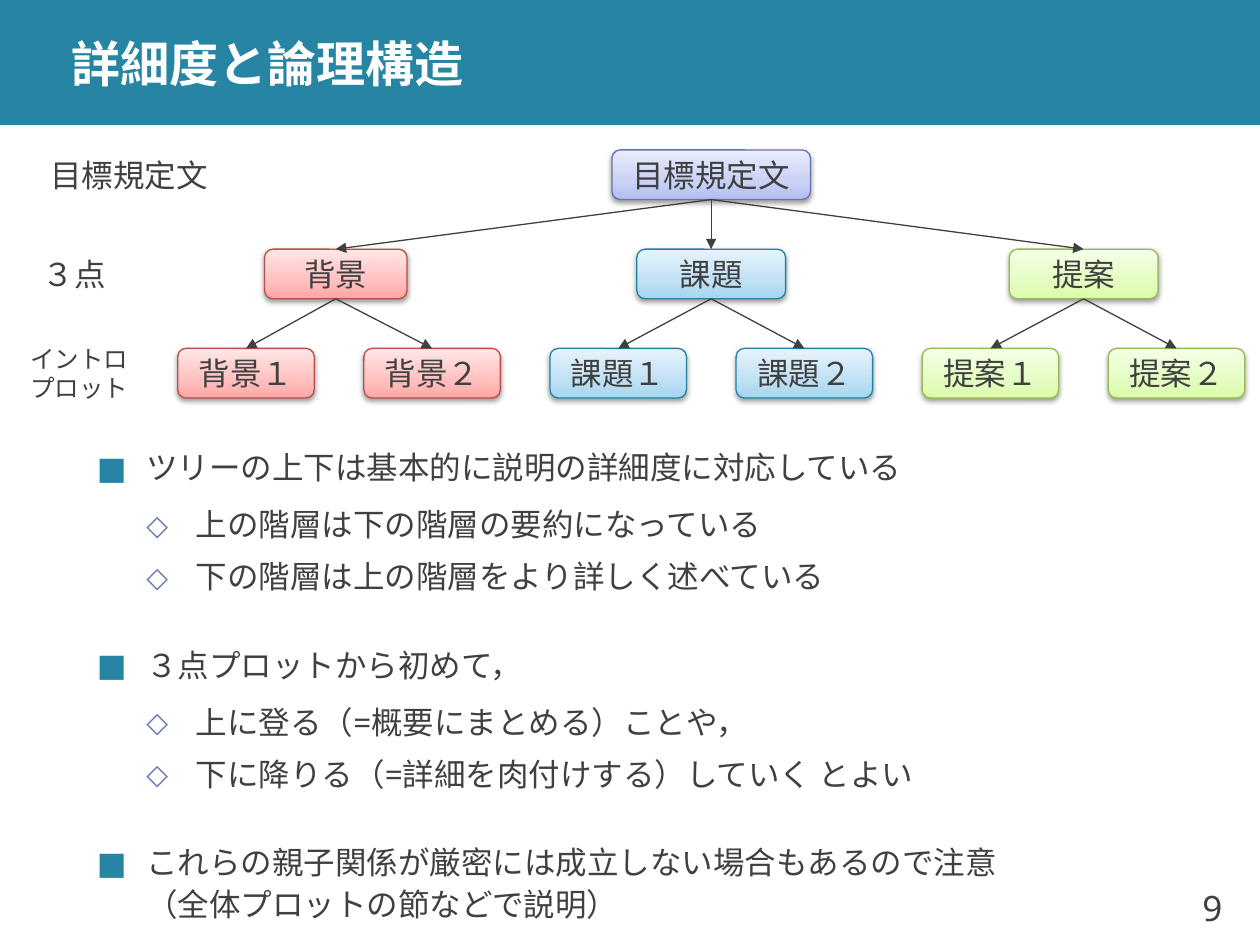
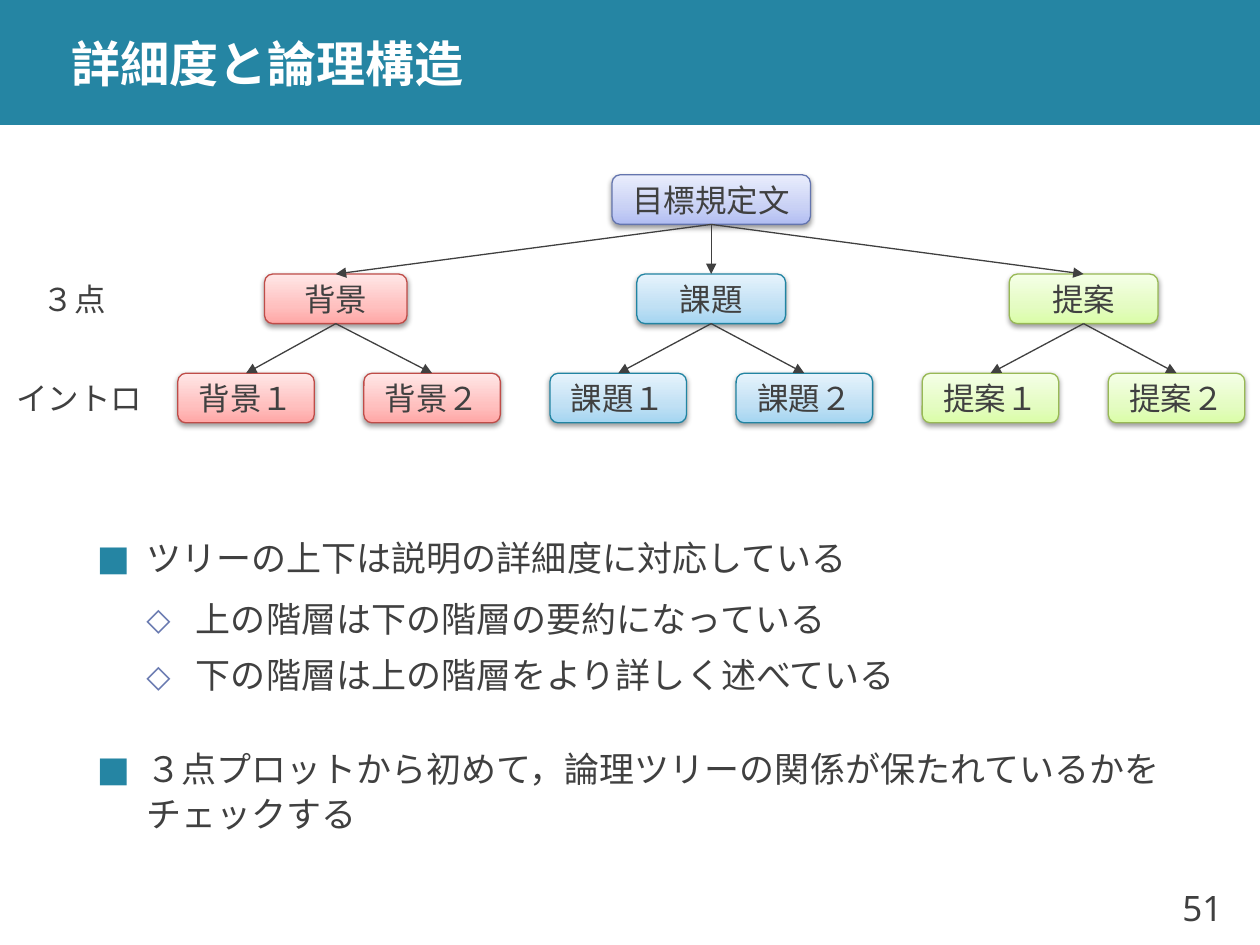
from pptx import Presentation, util as u, oxml
from pptx.dml.color import RGBColor as Rgb
from pptx.enum import shapes as es, text as et
from pptx.oxml import ns

Pt = u.Pt
HUES = {"band": "2585A3", "text": "404040", "white": "FFFFFF", "sub": "6879B0"}
NODES = {
    "goal": ("6475AE", ("B1BDF2", "C9D1F5", "E9EDFC")),
    "red": ("BF4C48", ("FFA6A5", "FFC0BF", "FFE7E7")),
    "blue": ("2184A2", ("A4D5F1", "C0E0F4", "E6F3FC")),
    "green": ("98B955", ("DAFDA7", "E4FCC2", "F5FFE7")),
}
STOPS = (0, 35000, 100000)
SANS, CJK = "Noto Sans", "Noto Sans CJK JP"
WIDE, HIGH, BAND = 720, 540, 71.4
BOX, STEP = 28.35, 56.7
MID, LEAF, GAP, FIRST = 406.4, 78, 106.35, 140.6
TOPICS = [("背景", "red", 191.9, 81.4), ("課題", "blue", MID, 85), ("提案", "green", 619.2, 85)]
LEFT, CENTER, RIGHT = et.PP_ALIGN.LEFT, et.PP_ALIGN.CENTER, et.PP_ALIGN.RIGHT


def node(xml):
    return oxml.parse_xml(xml.replace(">", " " + ns.nsdecls("a") + ">", 1))


def write(shape, lines, size=18, font=CJK, hue="text", bold=False, align=CENTER, wrap=False, pad=3.6):
    frame = shape.text_frame
    frame.word_wrap = wrap
    frame.vertical_anchor = et.MSO_ANCHOR.MIDDLE
    frame.margin_top = frame.margin_bottom = Pt(pad)
    for i, line in enumerate(lines):
        para = frame.paragraphs[0] if i == 0 else frame.add_paragraph()
        para.text = line
        para.alignment = align
        for run in para.runs:
            run.font.size, run.font.bold, run.font.name = Pt(size), bold, font
            run.font.color.rgb = Rgb.from_string(HUES[hue])
            run.font._element.find(ns.qn("a:latin")).addnext(node(f'<a:ea typeface="{CJK}"></a:ea>'))
    return frame


def area(slide, x, y, w, h):
    return slide.shapes.add_textbox(Pt(x), Pt(y), Pt(w), Pt(h))


def block(slide, kind, x, y, w, h):
    shape = slide.shapes.add_shape(kind, Pt(x), Pt(y), Pt(w), Pt(h))
    shape.shadow.inherit = False
    shape.fill.background()
    shape.line.fill.background()
    return shape


def label(slide, lines, x, y, **form):
    write(block(slide, es.MSO_SHAPE.ROUNDED_RECTANGLE, x, y, 85, BOX), lines, **form)


def box(slide, word, style, mid, y, w):
    edge, tones = NODES[style]
    shape = block(slide, es.MSO_SHAPE.ROUNDED_RECTANGLE, mid - w / 2, y, w, BOX)
    shape.line.color.rgb = Rgb.from_string(edge)
    shape.line.width = Pt(0.75)
    props = shape._element.spPr
    props.remove(props.find(ns.qn("a:noFill")))
    stops = "".join(f'<a:gs pos="{p}"><a:srgbClr val="{c}"/></a:gs>' for p, c in zip(STOPS, tones))
    props.find(ns.qn("a:prstGeom")).addnext(node(
        f'<a:gradFill rotWithShape="1"><a:gsLst>{stops}</a:gsLst>'
        '<a:lin ang="16200000" scaled="1"/></a:gradFill>'))
    props.find(ns.qn("a:effectLst")).append(node(
        f'<a:outerShdw blurRad="{Pt(3.1)}" dist="{Pt(1.6)}" dir="5400000" rotWithShape="0">'
        '<a:srgbClr val="000000"><a:alpha val="38000"/></a:srgbClr></a:outerShdw>'))
    write(shape, [word])
    return shape


def arrow(slide, top, low):
    link = slide.shapes.add_connector(es.MSO_CONNECTOR.STRAIGHT, 0, 0, 0, 0)
    link.begin_connect(top, 2)
    link.end_connect(low, 0)
    link.line.width = Pt(0.75)
    link.line.color.rgb = Rgb.from_string(HUES["text"])
    link.line._get_or_add_ln().append(node('<a:tailEnd type="triangle"></a:tailEnd>'))
    link._element.spPr.append(node("<a:effectLst></a:effectLst>"))


def tree(slide, y):
    root = box(slide, "目標規定文", "goal", MID, y, 113.4)
    links = []
    for i, (word, style, mid, w) in enumerate(TOPICS):
        topic = box(slide, word, style, mid, y + STEP, w)
        links.append((root, topic))
        for j, mark in enumerate("１２"):
            leaf = box(slide, word + mark, style, FIRST + (2 * i + j) * GAP, y + 2 * STEP, LEAF)
            links.append((topic, leaf))
    for top, low in links:
        arrow(slide, top, low)


def bullets(slide, items, size):
    frame = write(area(slide, 48.3, 270, 652.3, 241.2), [line for _, line in items],
                  size=size, font=SANS, align=LEFT, wrap=True)
    for para, (level, _) in zip(frame.paragraphs, items):
        hue, scale, sign, above, below = (("sub", 90, "◇", 3, 3) if level else ("band", 100, "■", 24, 6))
        para.level = level
        para.line_spacing = Pt(round(size * 1.31, 1))
        para.space_before, para.space_after = Pt(above), Pt(below)
        props = para._p.get_or_add_pPr()
        props.set("marL", str(Pt(28.3 * (level + 1))))
        props.set("indent", str(Pt(-28.3)))
        props.append(node(f'<a:buClr><a:srgbClr val="{HUES[hue]}"/></a:buClr>'))
        props.append(node(f'<a:buSzPct val="{scale * 1000}"></a:buSzPct>'))
        props.append(node(f'<a:buFont typeface="{SANS}"></a:buFont>'))
        props.append(node(f'<a:buChar char="{sign}"></a:buChar>'))


def page(deck, title, number):
    slide = deck.slides.add_slide(deck.slide_layouts[6])
    band = block(slide, es.MSO_SHAPE.RECTANGLE, 0, 0, WIDE, BAND)
    band.fill.solid()
    band.fill.fore_color.rgb = Rgb.from_string(HUES["band"])
    write(area(slide, 34, 0, 686, BAND), [title], size=28, font=SANS, hue="white",
          bold=True, align=LEFT, wrap=True, pad=0)
    write(area(slide, 657.4, 496.8, 48.2, 43.2), [number], size=20, font=SANS, align=RIGHT, wrap=True)
    return slide


def main():
    deck = Presentation()
    deck.slide_width, deck.slide_height = Pt(WIDE), Pt(HIGH)
    title = "詳細度と論理構造"
    levels = [(1, "上の階層は下の階層の要約になっている"), (1, "下の階層は上の階層をより詳しく述べている")]

    slide = page(deck, title, "9")
    bullets(slide, [
        (0, "ツリーの上下は基本的に説明の詳細度に対応している"),
        *levels,
        (0, "３点プロットから初めて，"),
        (1, "上に登る（=概要にまとめる）ことや，"),
        (1, "下に降りる（=詳細を肉付けする）していく とよい"),
        (0, "これらの親子関係が厳密には成立しない場合もあるので注意\n（全体プロットの節などで説明）"),
    ], 18)
    y = 85.7
    tree(slide, y)
    label(slide, ["目標規定文"], 20.2, y, align=LEFT)
    label(slide, ["３点"], 0, y + STEP)
    label(slide, ["イントロ", "プロット"], 2.9, y + 2 * STEP, size=14)

    slide = page(deck, title, "51")
    bullets(slide, [
        (0, "ツリーの上下は説明の詳細度に対応している"),
        *levels,
        (0, "３点プロットから初めて，論理ツリーの関係が保たれているかをチェックする"),
    ], 20)
    y = 99.9
    tree(slide, y)
    label(slide, ["３点"], 0, y + STEP)
    label(slide, ["イントロ"], 2.9, y + 2 * STEP)

    deck.save("out.pptx")


main()
